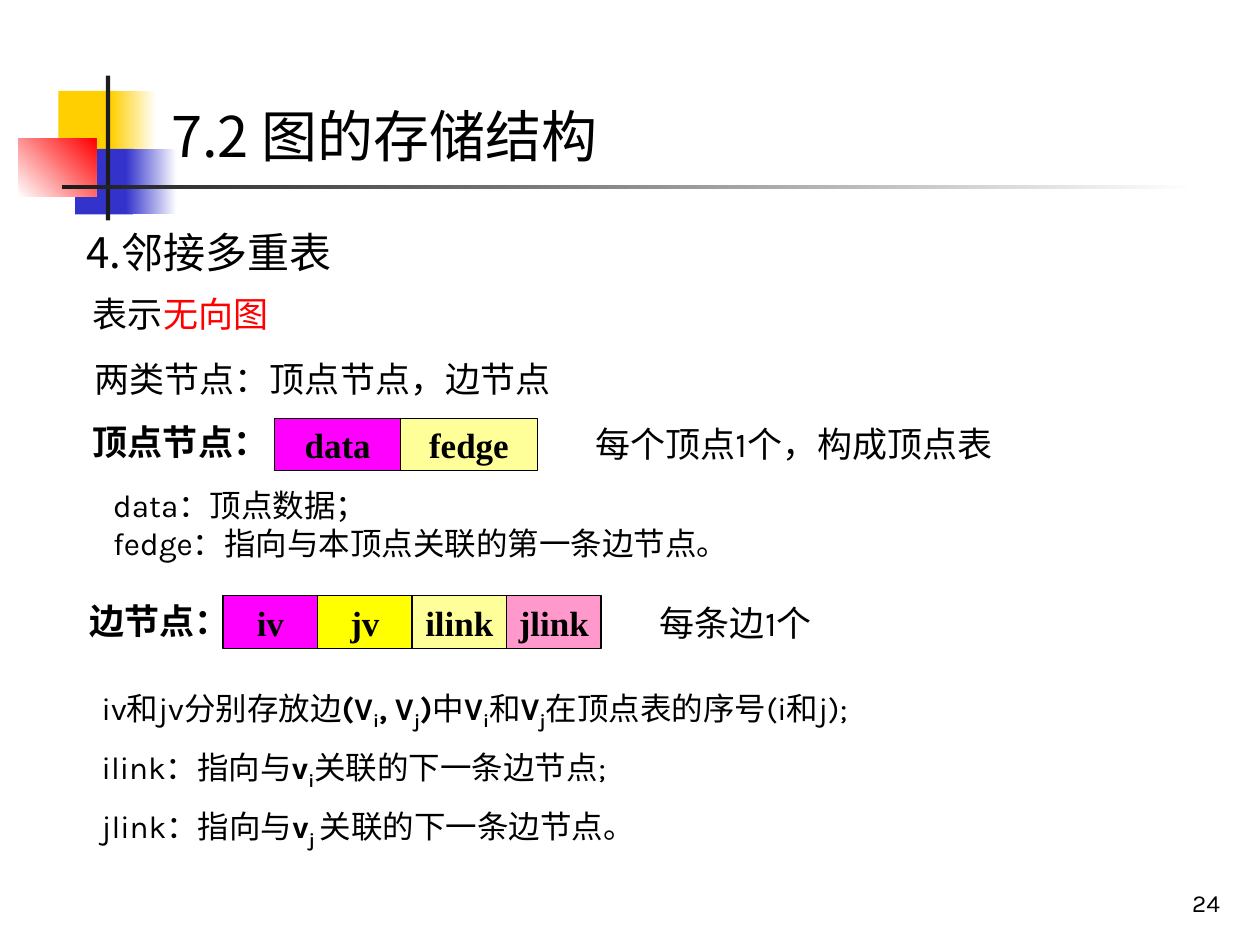
"""Build the slide on adjacency multilists for storing undirected graphs."""
import pptx
import pptx.dml.color
import pptx.enum.shapes
import pptx.enum.text
import pptx.oxml
import pptx.oxml.ns
import pptx.util

Pt = pptx.util.Pt
RGB = pptx.dml.color.RGBColor
Align = pptx.enum.text.PP_ALIGN
Anchor = pptx.enum.text.MSO_ANCHOR
RECTANGLE = pptx.enum.shapes.MSO_SHAPE.RECTANGLE

BLACK = RGB(0x00, 0x00, 0x00)
WHITE = RGB(0xFF, 0xFF, 0xFF)
CHARCOAL = RGB(0x1C, 0x1C, 0x1C)
GOLD = RGB(0xFF, 0xCF, 0x01)
BLUE = RGB(0x33, 0x33, 0xCC)
RED = RGB(0xFF, 0x00, 0x00)
MAGENTA = RGB(0xFF, 0x00, 0xFF)
YELLOW = RGB(0xFF, 0xFF, 0x00)
CREAM = RGB(0xFF, 0xFF, 0x99)
PINK = RGB(0xFF, 0x99, 0xCC)


class SlideBuilder:
    """Hold the text style and the current slide."""

    body_font = "Karla"
    asian_font = "Noto Sans CJK SC"
    title_font = "Noto Sans CJK JP"
    cell_font = "Times New Roman"
    hanging = 27

    def __init__(self, slide):
        self.slide = slide

    def run(self, paragraph, text, size, font, marks=""):
        """Add a run; marks are b for bold, s for subscript, r for red."""
        run = paragraph.add_run()
        run.text = text
        run.font.size = Pt(size)
        run.font.name = font
        run.font.bold = "b" in marks
        run.font.color.rgb = RED if "r" in marks else BLACK
        properties = run.font._element
        if "s" in marks:
            properties.set("baseline", "-25000")
        asian = pptx.oxml.parse_xml(f'<a:ea {pptx.oxml.ns.nsdecls("a")} typeface="{self.asian_font}"/>')
        asian.set("typeface", self.asian_font if font == self.body_font else font)
        properties.append(asian)

    def text(self, box, paragraphs, size=20, font=body_font, align=None, spacing=1.2,
             before=0, anchor=Anchor.TOP, hang=False, grow=False, wrap=True):
        """Add a text box whose paragraphs are lists of (text, marks)."""
        frame = self.slide.shapes.add_textbox(*map(Pt, box)).text_frame
        frame.word_wrap = wrap
        frame.vertical_anchor = anchor
        if grow:
            frame.auto_size = pptx.enum.text.MSO_AUTO_SIZE.SHAPE_TO_FIT_TEXT
        for index, runs in enumerate(paragraphs):
            paragraph = frame.add_paragraph() if index else frame.paragraphs[0]
            paragraph.alignment = align
            paragraph.line_spacing = spacing
            if index:
                paragraph.space_before = Pt(before)
            if hang:
                properties = paragraph._p.get_or_add_pPr()
                properties.set("marL", str(Pt(self.hanging)))
                properties.set("indent", str(-Pt(self.hanging)))
            for text, marks in runs:
                self.run(paragraph, text, size, font, marks)
        return frame

    def block(self, box, color, end=None, angle=0):
        """Add a borderless rectangle, fading to the end colour if given."""
        block = self.slide.shapes.add_shape(RECTANGLE, *map(Pt, box))
        block.shadow.inherit = False
        block.line.fill.background()
        if end is None:
            block.fill.solid()
            block.fill.fore_color.rgb = color
            return
        block.fill.gradient()
        block.fill.gradient_angle = angle
        for stop, stop_color in zip(block.fill.gradient_stops, (color, end)):
            stop.color.rgb = stop_color

    def record(self, left, top, fields, height=30):
        """Add a group of adjoining cells, one per (label, width, colour)."""
        group = self.slide.shapes.add_group_shape()
        for label, width, color in fields:
            cell = group.shapes.add_shape(RECTANGLE, Pt(left), Pt(top), Pt(width), Pt(height))
            cell.shadow.inherit = False
            cell.fill.solid()
            cell.fill.fore_color.rgb = color
            cell.line.color.rgb = BLACK
            cell.line.width = Pt(0.75)
            cell.text_frame.word_wrap = False
            cell.text_frame.vertical_anchor = Anchor.MIDDLE
            paragraph = cell.text_frame.paragraphs[0]
            paragraph.alignment = Align.CENTER
            self.run(paragraph, label, 20, self.cell_font, "b")
            left += width


def main():
    deck = pptx.Presentation()
    deck.slide_width, deck.slide_height = Pt(720), Pt(540)
    page = SlideBuilder(deck.slides.add_slide(deck.slide_layouts[6]))

    page.block((33.4, 52, 34.5, 37.5), GOLD)
    page.block((63.3, 52, 26, 37.5), GOLD, WHITE)
    page.block((43, 85, 33, 37.5), BLUE)
    page.block((72, 85, 29, 37.5), BLUE, WHITE)
    page.block((10.5, 79, 44.5, 33.5), WHITE, RED, 45)
    page.block((60.5, 43.2, 2.5, 82.8), CHARCOAL)
    page.block((35.4, 105.6, 648, 2.3), CHARCOAL, WHITE)

    page.text((554.4, 491.8, 149.8, 36), [[("24", "")]], size=14, align=Align.RIGHT,
              spacing=1, anchor=Anchor.BOTTOM)
    page.text((42.5, 126, 532.8, 36), [[("4.邻接多重表", "")]], size=24,
              font=page.asian_font, spacing=1, grow=True)
    page.text((46, 159, 624, 37), [[("表示", ""), ("无向图", "r")]],
              align=Align.JUSTIFY, hang=True)
    for left, top, heading in ((46, 232, "顶点节点："), (44, 334, "边节点：")):
        page.text((left, top, 118, 42.5), [[(heading, "b")]], align=Align.JUSTIFY, hang=True)

    fields = page.text((57.6, 270, 638, 59), [
        [("data：顶点数据；", "")],
        [("fedge：指向与本顶点关联的第一条边节点。", "")],
    ], size=18, hang=True)
    fields.paragraphs[0].alignment = Align.JUSTIFY
    fields.paragraphs[1].line_spacing = 1.0

    page.text((51, 385, 641.5, 120), [
        [("iv和jv分别存放边", ""), ("(V", "b"), ("i", "bs"), (", V", "b"), ("j", "bs"),
         (")", "b"), ("中", ""), ("V", "b"), ("i", "bs"), ("和", ""), ("V", "b"),
         ("j", "bs"), ("在顶点表的序号(i和j);", "")],
        [("ilink：指向与", ""), ("v", "b"), ("i", "bs"), ("关联的下一条边节点;", "")],
        [("jlink：指向与", ""), ("v", "b"), ("j ", "bs"), ("关联的下一条边节点。", "")],
    ], size=18, before=4.5, hang=True)

    page.text((47, 196, 275, 36), [[("两类节点：顶点节点，边节点", "")]],
              anchor=Anchor.BOTTOM, grow=True, wrap=False)
    for left, top, remark in ((333, 233, "每个顶点1个，构成顶点表"), (370, 335.5, "每条边1个")):
        page.text((left, top, 307.5, 36), [[(remark, "")]], anchor=Anchor.BOTTOM, grow=True)

    page.record(157, 239, [("data", 72, MAGENTA), ("fedge", 78, CREAM)])
    page.record(127.5, 340.5, [(label, 54, color) for label, color in (
        ("iv", MAGENTA), ("jv", YELLOW), ("ilink", CREAM), ("jlink", PINK))])

    page.text((90.7, 54.7, 629.3, 46), [[("7.2 图的存储结构", "")]], size=32,
              font=page.title_font, spacing=1, grow=True)

    deck.save("out.pptx")


if __name__ == "__main__":
    main()
